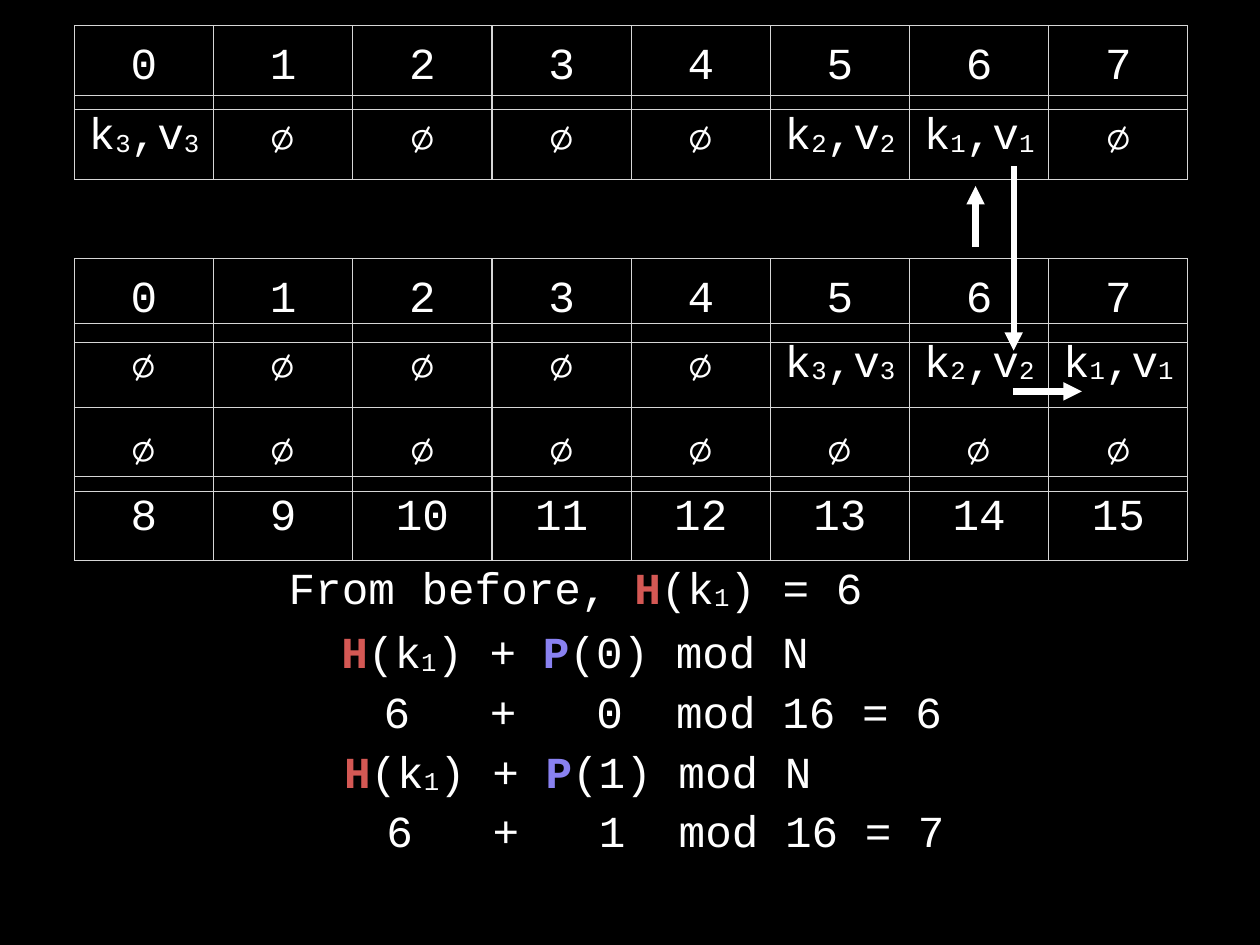
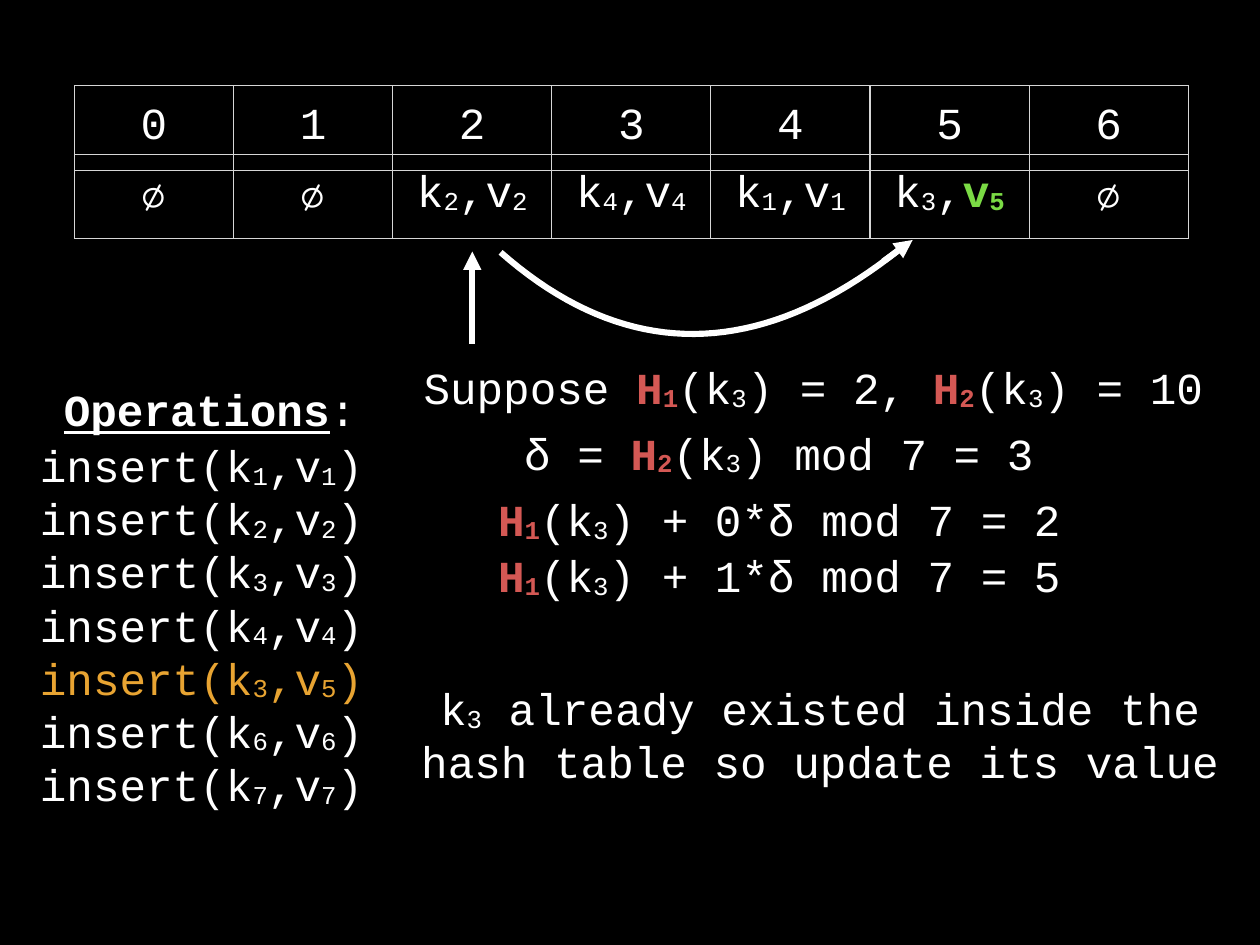
from lxml import etree
from pptx import Presentation
from pptx.dml.color import RGBColor
from pptx.enum.text import MSO_ANCHOR, MSO_AUTO_SIZE, PP_ALIGN
from pptx.enum.shapes import MSO_CONNECTOR
from pptx.oxml import parse_xml
from pptx.oxml.ns import nsdecls, qn
from pptx.util import Inches, Pt

COLORS = {"black": "000000", "white": "FFFFFF", "red": "D45854", "purple": "8981F0",
          "green": "7BDB45", "orange": "E8A432", "grid": "D6D6D6"}
# style: colour, bold, underline
STYLES = {"plain": ("white", False, False), "hash": ("red", True, False),
          "probe": ("purple", True, False), "updated": ("green", True, False),
          "current": ("orange", False, False), "heading": ("white", True, True)}
FONT, SIZE = "Courier New", Pt(36)
CHAR = 0.3  # advance of one character, in inches
INSET = Inches(0.06)
TABLE_LEFT, TABLE_WIDTH, ROW_HEIGHT = 0.84, 12.57, 0.95
LINE_HEIGHT = 0.68
LEFT, CENTER = PP_ALIGN.LEFT, PP_ALIGN.CENTER


def write(p, parts, align):
    """Fill p with (text, style) pairs or plain strings; "_" lowers the next character."""
    p.alignment = align
    for part in parts if isinstance(parts, list) else [parts]:
        text, style = part if isinstance(part, tuple) else (part, "plain")
        color, bold, underline = STYLES[style]
        head, *tails = text.split("_")
        pieces = [(head, False)]
        for tail in tails:
            pieces += [(tail[0], True), (tail[1:], False)]
        for piece, lowered in pieces:
            if not piece:
                continue
            r = p.add_run()
            r.text = piece
            r.font.name, r.font.size = FONT, SIZE
            r.font.bold, r.font.underline = bold, underline
            r.font.color.rgb = RGBColor.from_string(COLORS[color])
            if lowered:
                r.font._element.set("baseline", "-6000")


prs = Presentation()
prs.slide_width, prs.slide_height = Inches(14.22), Inches(10.67)
bg = prs.slide_master.background.fill
bg.solid()
bg.fore_color.rgb = RGBColor.from_string(COLORS["black"])
blank = prs.slide_layouts[6]
resize = prs.slides.add_slide(blank)
update = prs.slides.add_slide(blank)

# Hash tables: slide, top, cells
tables = [
    (resize, 1.08, ["k_3,v_3"] + ["∅"] * 4 + ["k_2,v_2", "k_1,v_1", "∅"]),
    (resize, 0.29, [str(i) for i in range(8)]),
    (resize, 3.65, ["∅"] * 5 + ["k_3,v_3", "k_2,v_2", "k_1,v_1"]),
    (resize, 4.6, ["∅"] * 8),
    (resize, 2.92, [str(i) for i in range(8)]),
    (resize, 5.38, [str(i) for i in range(8, 16)]),
    (update, 1.74, ["∅", "∅", "k_2,v_2", "k_4,v_4", "k_1,v_1",
                    ["k_3,", ("v_5", "updated")], "∅"]),
    (update, 0.97, [str(i) for i in range(7)]),
]
for s, top, cells in tables:
    tbl = s.shapes.add_table(1, len(cells), Inches(TABLE_LEFT), Inches(top),
                             Inches(TABLE_WIDTH), Inches(ROW_HEIGHT)).table
    tbl.first_row = tbl.horz_banding = False
    for col, content in zip(tbl.columns, cells):
        col.width = Inches(TABLE_WIDTH / len(cells))
    for cell, content in zip(tbl.rows[0].cells, cells):
        cell.margin_left = cell.margin_right = cell.margin_top = cell.margin_bottom = INSET
        cell.vertical_anchor = MSO_ANCHOR.MIDDLE
        write(cell.text_frame.paragraphs[0], content, CENTER)
        tcPr = cell._tc.get_or_add_tcPr()
        for side in ("lnL", "lnR", "lnT", "lnB"):
            tcPr.append(parse_xml(
                f'<a:{side} {nsdecls("a")} w="12700"><a:solidFill>'
                f'<a:srgbClr val="{COLORS["grid"]}"/></a:solidFill></a:{side}>'))
        cell.fill.background()

# Text: slide, left, top, width, height, alignment, wrap, paragraphs
H, H1, H2, P = ("H", "hash"), ("H_1", "hash"), ("H_2", "hash"), ("P", "probe")
inserts = [f"insert(k_{k},v_{v})" for k, v in zip("1234367", "1234567")]
inserts[4] = [(inserts[4], "current")]
texts = [
    (resize, 3.17, 6.28, 6.65, LINE_HEIGHT, CENTER, False, [["From before, ", H, "(k_1) = 6"]]),
    (resize, 3.77, 7.01, 5.44, LINE_HEIGHT, CENTER, False, [[H, "(k_1) + ", P, "(0) mod N"]]),
    (resize, 4.27, 7.68, 6.6, LINE_HEIGHT, LEFT, True, ["6\t+\t0\tmod 16 = 6"]),
    (resize, 3.8, 8.36, 5.44, LINE_HEIGHT, CENTER, False, [[H, "(k_1) + ", P, "(1) mod N"]]),
    (resize, 4.3, 9.03, 6.6, LINE_HEIGHT, LEFT, True, ["6\t+\t1\tmod 16 = 7"]),
    (update, 0.65, 4.27, 3.44, LINE_HEIGHT, CENTER, False, [[("Operations", "heading"), ":"]]),
    (update, 0.39, 4.89, 4.14, 4.1, LEFT, False, inserts),
    (update, 4.72, 4.03, 9.06, LINE_HEIGHT, LEFT, False,
     [["Suppose ", H1, "(k_3) = 2, ", H2, "(k_3) = 10"]]),
    (update, 5.82, 4.77, 5.94, LINE_HEIGHT, CENTER, False, [["δ = ", H2, "(k_3) mod 7 = 3"]]),
    (update, 5.52, 5.52, 6.55, LINE_HEIGHT, CENTER, False, [[H1, "(k_3) + 0*δ mod 7 = 2"]]),
    (update, 5.52, 6.15, 6.55, LINE_HEIGHT, CENTER, False, [[H1, "(k_3) + 1*δ mod 7 = 5"]]),
    (update, 4.29, 7.67, 9.93, 1.25, CENTER, True,
     ["k_3 already existed inside the hash table so update its value"]),
]
for s, left, top, width, height, align, wrap, lines in texts:
    tf = s.shapes.add_textbox(Inches(left), Inches(top), Inches(width), Inches(height)).text_frame
    tf.margin_left = tf.margin_right = tf.margin_top = tf.margin_bottom = INSET
    tf.word_wrap = wrap
    tf.auto_size = MSO_AUTO_SIZE.SHAPE_TO_FIT_TEXT
    tf.vertical_anchor = MSO_ANCHOR.MIDDLE if len(lines) == 1 else MSO_ANCHOR.TOP
    for i, line in enumerate(lines):
        p = tf.add_paragraph() if i else tf.paragraphs[0]
        if "\t" in line:
            tabs = etree.SubElement(p._p.get_or_add_pPr(), qn("a:tabLst"))
            for column in (4, 8, 11):
                etree.SubElement(tabs, qn("a:tab"), pos=str(Inches(column * CHAR)), algn="l")
        write(p, line, align)

# Curved probe path: a cubic Bézier sampled at equal steps
curve = [(10.16, 2.81), (8.57, 4.08), (7.06, 4.09), (5.65, 2.85)]
steps = 40
points = []
for i in range(steps + 1):
    t = i / steps
    weights = ((1 - t) ** 3, 3 * t * (1 - t) ** 2, 3 * t ** 2 * (1 - t), t ** 3)
    points.append(tuple(Inches(sum(w * c[axis] for w, c in zip(weights, curve)))
                        for axis in (0, 1)))
builder = update.shapes.build_freeform(*points[0])
builder.add_line_segments(points[1:], close=False)
probe_path = builder.convert_to_shape()
probe_path.shadow.inherit = False
probe_path.fill.background()
probe_path.line.color.rgb = RGBColor.from_string(COLORS["white"])
probe_path.line.width = Pt(5)

# Arrows: slide, from x, from y, to x, to y
arrows = [
    (resize, 11.01, 2.79, 11.01, 2.1),
    (resize, 11.44, 1.88, 11.44, 3.96),
    (resize, 11.43, 4.42, 12.21, 4.42),
    (update, 5.33, 3.88, 5.33, 2.84),
    (update, 9.97, 2.95, 10.3, 2.71),
]
for s, *ends in arrows:
    arrow = s.shapes.add_connector(MSO_CONNECTOR.STRAIGHT, *map(Inches, ends))
    arrow.line.color.rgb = RGBColor.from_string(COLORS["white"])
    arrow.line.width = Pt(5)
    etree.SubElement(arrow.line._get_or_add_ln(), qn("a:tailEnd"), type="triangle")
    etree.SubElement(arrow._element.spPr, qn("a:effectLst"))

prs.save("out.pptx")
